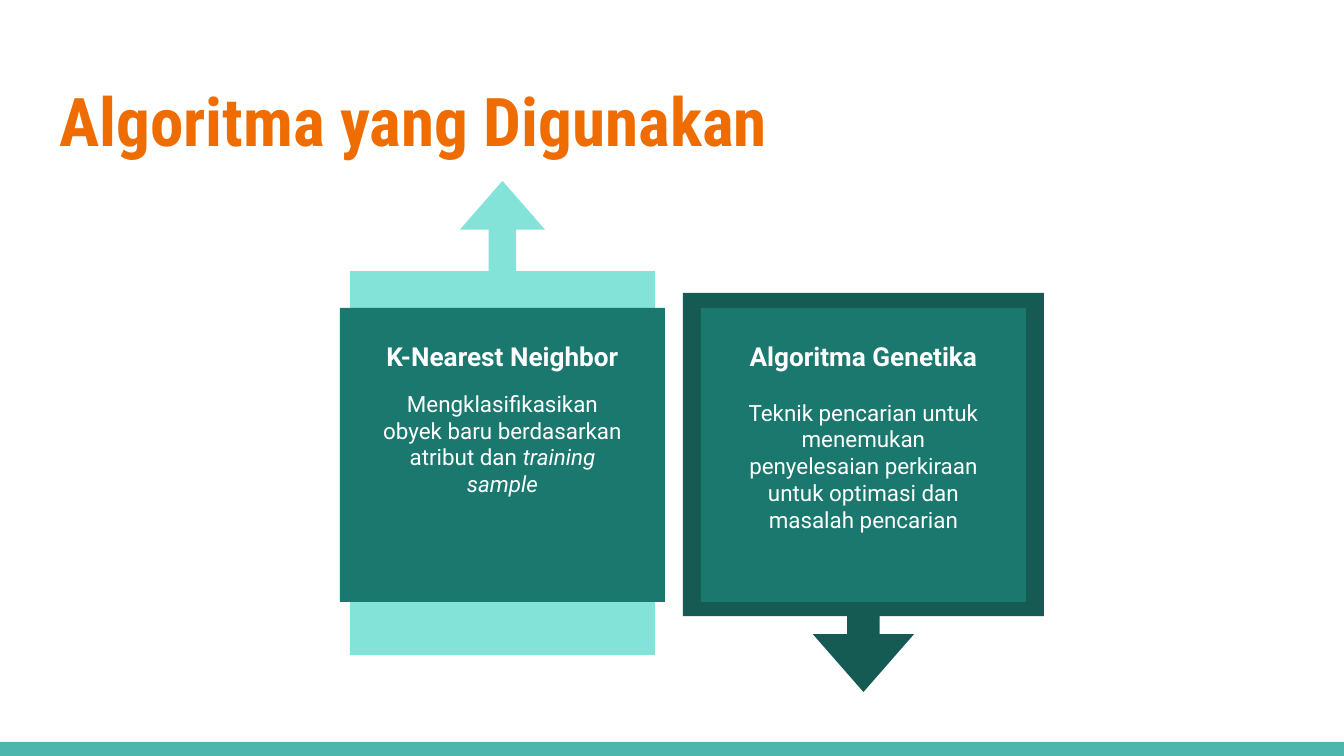
from pptx import Presentation
from pptx.dml.color import RGBColor
from pptx.enum.shapes import MSO_SHAPE
from pptx.enum.text import MSO_ANCHOR, PP_ALIGN
from pptx.util import Pt

RECT = MSO_SHAPE.RECTANGLE
UP, DOWN = MSO_SHAPE.UP_ARROW_CALLOUT, MSO_SHAPE.DOWN_ARROW_CALLOUT
LEFT, CENTER = PP_ALIGN.LEFT, PP_ALIGN.CENTER

# Content
COLORS = {"title": "EF6C00", "bar": "4DB6AC", "card": "1B786E",
          "light": "83E3D9", "dark": "155B54", "white": "FFFFFF"}
TITLE = "Algoritma yang Digunakan"
CARDS = [
    {"heading": "K-Nearest Neighbor", "gap": 9.6,
     "body": [("Mengklasifikasikan obyek baru berdasarkan atribut dan ", False),
              ("training sample", True)],
     "arrow": UP, "color": "light", "callout": (305, 474), "top": 181},
    {"heading": "Algoritma Genetika", "gap": 14.4,
     "body": [("Teknik pencarian untuk menemukan penyelesaian perkiraan "
               "untuk optimasi dan masalah pencarian", False)],
     "arrow": DOWN, "color": "dark", "callout": (361, 399), "top": 293},
]

# Layout in px
EMU_PER_PX = 9144000 / 1344
SLIDE_W, SLIDE_H, BAR_H = 1344, 756, 14
CARD_X, CARD_Y, CARD_W, CARD_H, CARD_STEP = 340, 308, 325, 294, 361
TEXT_W, TEXT_H, TEXT_DY = 273, 246, 19
ARROW_ADJ = (0.09, 0.14, 0.16, 0.81)


def emu(*lengths):
    return [round(v * EMU_PER_PX) for v in lengths]


def add_block(kind, box, color, adjustments=()):
    sp = s.shapes.add_shape(kind, *emu(*box))
    sp.shadow.inherit = False
    sp.fill.solid()
    sp.fill.fore_color.rgb = RGBColor.from_string(COLORS[color])
    sp.line.fill.background()
    for i, value in enumerate(adjustments):
        sp.adjustments[i] = value


def add_frame(box):
    tf = s.shapes.add_textbox(*emu(*box)).text_frame
    tf.word_wrap = True
    tf.vertical_anchor = MSO_ANCHOR.TOP
    tf.margin_left = tf.margin_right = tf.margin_top = tf.margin_bottom = Pt(7.2)
    return tf


def add_text(p, text, size, font="Roboto", color="white", bold=False,
             italic=False, align=CENTER, after=0):
    p.alignment = align
    p.space_after = Pt(after)
    r = p.add_run()
    r.text = text
    r.font.name, r.font.size = font, Pt(size)
    r.font.bold, r.font.italic = bold, italic
    r.font.color.rgb = RGBColor.from_string(COLORS[color])


prs = Presentation()
prs.slide_width, prs.slide_height = emu(SLIDE_W, SLIDE_H)
s = prs.slides.add_slide(prs.slide_layouts[6])

# Bottom bar and title
add_block(RECT, (0, SLIDE_H - BAR_H, SLIDE_W, BAR_H), "bar")
tf = add_frame((46, 66, 1253, 103))
add_text(tf.paragraphs[0], TITLE, 36, font="Roboto Condensed",
         color="title", bold=True, align=LEFT)

# Cards, each centred on its arrow callout
for i, card in enumerate(CARDS):
    x = CARD_X + i * CARD_STEP
    w, h = card["callout"]
    add_block(card["arrow"], (x + (CARD_W - w) / 2, card["top"], w, h),
              card["color"], ARROW_ADJ)
    add_block(RECT, (x, CARD_Y, CARD_W, CARD_H), "card")
    tf = add_frame((x + (CARD_W - TEXT_W) / 2, CARD_Y + TEXT_DY, TEXT_W, TEXT_H))
    add_text(tf.paragraphs[0], card["heading"], 14, bold=True, after=card["gap"])
    p = tf.add_paragraph()
    for text, italic in card["body"]:
        add_text(p, text, 12, italic=italic, after=16)

prs.save("out.pptx")
